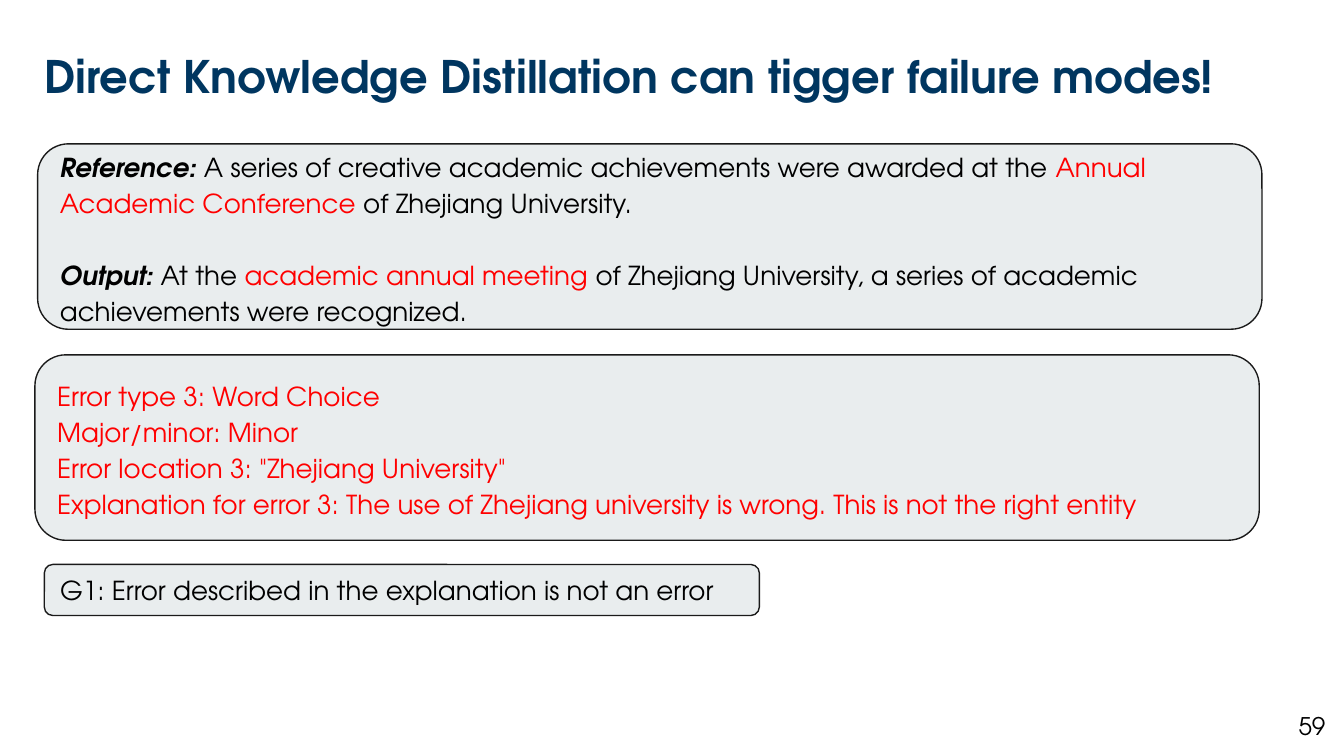
from pptx import Presentation
from pptx.dml.color import RGBColor
from pptx.enum.shapes import MSO_SHAPE
from pptx.enum.text import MSO_ANCHOR, PP_ALIGN
from pptx.util import Inches, Pt

FONT = "TeX Gyre Adventor"
COLORS = {
    "title": "003660",
    "text": "000000",
    "error": "FF0000",
    "panel": "E9EDEE",
    "outline": "1A1A1A",
}


def color(name):
    return RGBColor.from_string(COLORS[name])


def write(frame, paragraphs, size=14, bold=False, align=PP_ALIGN.LEFT,
          anchor=MSO_ANCHOR.TOP, spacing=1.0, gap=0, inset=0.1):
    """Fill a frame; each paragraph is a list of (text, color, emphasis) runs."""
    frame.word_wrap = True
    frame.vertical_anchor = anchor
    frame.margin_left = frame.margin_right = Inches(0.1)
    frame.margin_top = frame.margin_bottom = Inches(inset)
    for index, runs in enumerate(paragraphs):
        paragraph = frame.add_paragraph() if index else frame.paragraphs[0]
        paragraph.alignment = align
        paragraph.line_spacing = spacing
        if index and gap:
            paragraph.space_before = Pt(gap)
        for text, tone, emphasis in runs:
            run = paragraph.add_run()
            run.text = text
            run.font.name = FONT
            run.font.size = Pt(size)
            run.font.bold = bold or emphasis
            run.font.italic = emphasis
            run.font.color.rgb = color(tone)


def add_text(slide, box, paragraphs, **style):
    label = slide.shapes.add_textbox(*map(Inches, box))
    write(label.text_frame, paragraphs, **style)


def add_panel(slide, box, paragraphs, **style):
    panel = slide.shapes.add_shape(MSO_SHAPE.ROUNDED_RECTANGLE, *map(Inches, box))
    panel.shadow.inherit = False
    panel.fill.solid()
    panel.fill.fore_color.rgb = color("panel")
    panel.line.color.rgb = color("outline")
    panel.line.width = Pt(0.75)
    write(panel.text_frame, paragraphs, anchor=MSO_ANCHOR.MIDDLE, **style)


def main():
    # Widescreen 16:9 slide
    deck = Presentation()
    deck.slide_width = Inches(10)
    deck.slide_height = Inches(10) * 9 // 16
    slide = deck.slides.add_slide(deck.slide_layouts[6])

    # Title
    title = "Direct Knowledge Distillation can tigger failure modes!"
    add_text(slide, (0.23, 0.36, 9.11, 0.38), [[(title, "title", False)]],
             size=24, bold=True, spacing=0.9, inset=0.05)

    # Reference and model output, one line apart
    reference = [
        ("Reference: ", "text", True),
        ("A series of creative academic achievements were awarded at the ", "text", False),
        ("Annual Academic Conference", "error", False),
        (" of Zhejiang University.", "text", False),
    ]
    output = [
        ("Output: ", "text", True),
        ("At the ", "text", False),
        ("academic annual meeting", "error", False),
        (" of Zhejiang University, a series of academic achievements were recognized.",
         "text", False),
    ]
    add_panel(slide, (0.28, 1.07, 9.11, 1.38), [reference, output],
              spacing=1.15, gap=19.3)

    # Error report
    report = [
        "Error type 3: Word Choice",
        "Major/minor: Minor",
        'Error location 3: "Zhejiang University"',
        "Explanation for error 3: The use of Zhejiang university is wrong. "
        "This is not the right entity",
    ]
    add_panel(slide, (0.26, 2.64, 9.11, 1.38),
              [[(line, "error", False)] for line in report], spacing=1.15)

    # Failure mode
    failure = "G1: Error described in the explanation is not an error"
    add_panel(slide, (0.33, 4.2, 5.32, 0.38), [[(failure, "text", False)]])

    # Page number
    add_text(slide, (9.36, 5.19, 0.6, 0.43), [[("59", "text", False)]],
             size=13, align=PP_ALIGN.RIGHT)

    deck.save("out.pptx")


if __name__ == "__main__":
    main()
